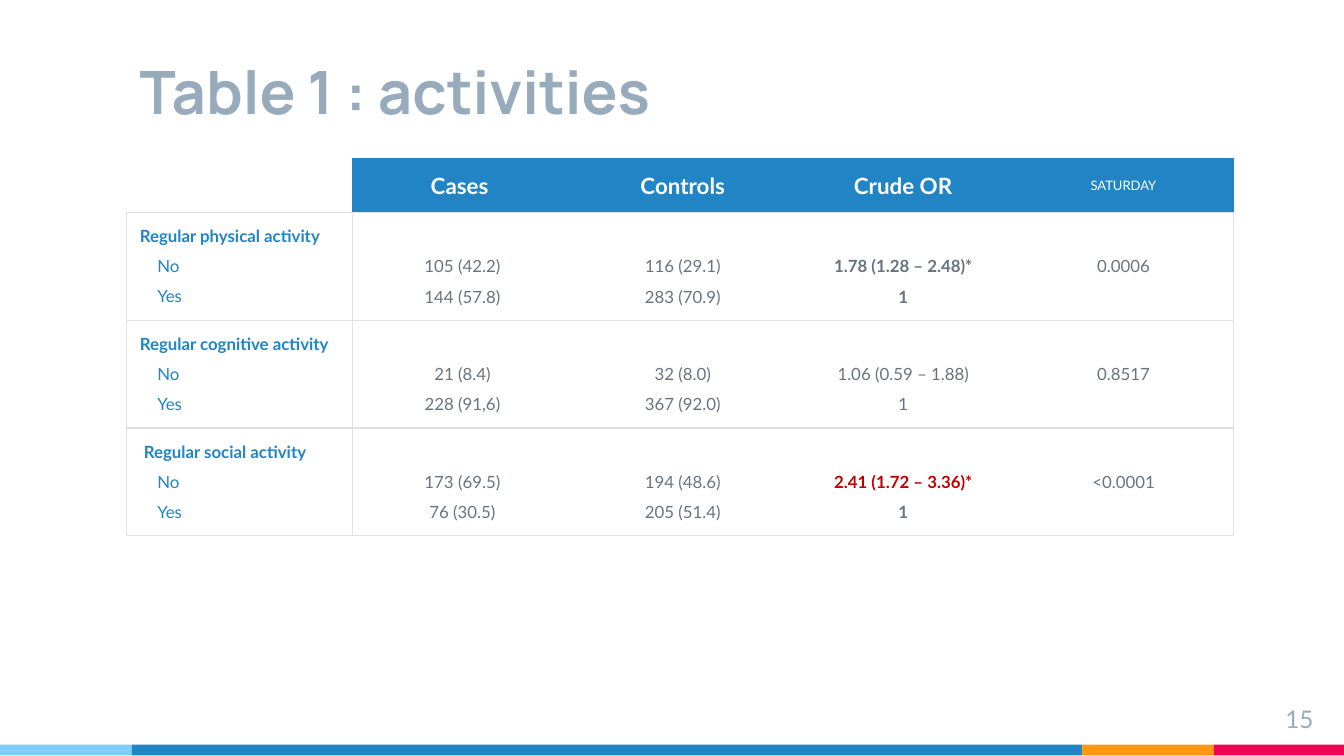
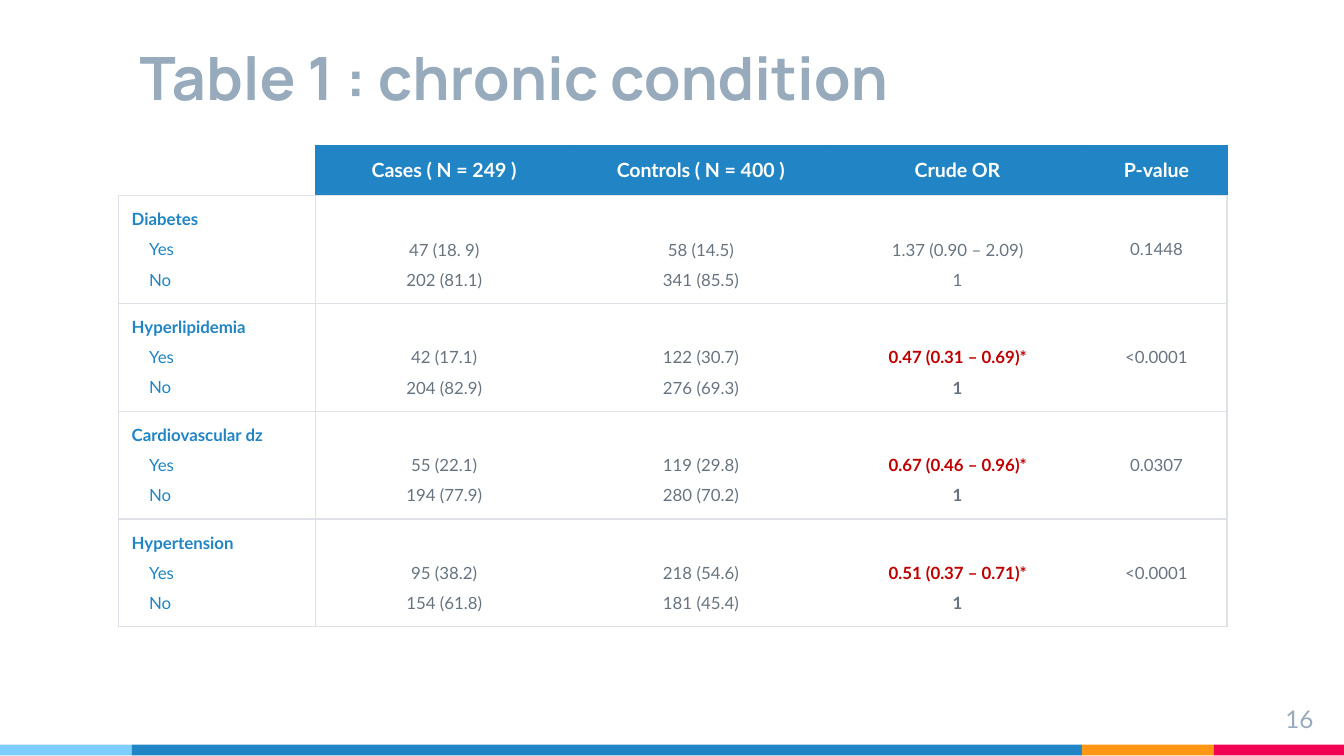
from dataclasses import dataclass
from typing import NamedTuple, Optional

from lxml import etree
from pptx import Presentation
from pptx.dml.color import RGBColor
from pptx.enum.shapes import MSO_SHAPE
from pptx.enum.text import MSO_ANCHOR, PP_ALIGN
from pptx.oxml.ns import qn
from pptx.util import Inches, Pt

RECT = MSO_SHAPE.RECTANGLE
LEFT, CENTER, RIGHT = PP_ALIGN.LEFT, PP_ALIGN.CENTER, PP_ALIGN.RIGHT
TOP, MIDDLE, BOTTOM = MSO_ANCHOR.TOP, MSO_ANCHOR.MIDDLE, MSO_ANCHOR.BOTTOM

COLORS = {
    "title": "97ABBC",
    "blue": "2185C5",
    "sky": "7ECEFD",
    "orange": "FF9715",
    "pink": "F20253",
    "grid": "DEE2E6",
    "body": "677480",
    "alert": "C00000",
    "white": "FFFFFF",
}
TITLE_FONT, BODY_FONT = "Manrope", "Lato"
SLIDE_W = 10
SLIDE_H = SLIDE_W * 9 / 16
PAD = Inches(0.1)
LEVEL_INDENT = Inches(0.13)
GROUP_H = 0.8


class Band(NamedTuple):
    width: float
    color: str


class Header(NamedTuple):
    text: str
    size: float
    bold: bool = True


@dataclass
class Group:
    """One factor: its values at two levels, odds ratio and p-value."""
    name: str
    cases: tuple[str, str]
    controls: tuple[str, str]
    odds_ratio: str
    p_value: str
    or_color: str = "body"


@dataclass
class TableSlide:
    number: int
    title: str
    title_top: float
    left: float
    top: float
    col_widths: list[float]
    header_h: float
    headers: list[Header]
    levels: tuple[str, str]
    groups: list[Group]


BANDS = [Band(0.98, "sky"), Band(7.07, "blue"), Band(0.98, "orange"), Band(0.97, "pink")]

SLIDES = [
    TableSlide(
        15, "Table 1 : activities", 0.1, 0.94, 1.18, [1.68] + [1.64] * 4, 0.4,
        [Header("Cases ", 12), Header("Controls", 12), Header("Crude OR", 12),
         Header("SATURDAY", 7, bold=False)],
        ("No", "Yes"),
        [
            Group("Regular physical activity", ("105 (42.2)", "144 (57.8)"),
                  ("116 (29.1)", "283 (70.9)"), "1.78 (1.28 – 2.48)*", "0.0006"),
            Group("Regular cognitive activity", ("21 (8.4)", "228 (91,6)"),
                  ("32 (8.0)", "367 (92.0)"), "1.06 (0.59 – 1.88)", "0.8517"),
            Group(" Regular social activity", ("173 (69.5)", "76 (30.5)"),
                  ("194 (48.6)", "205 (51.4)"), "2.41 (1.72 – 3.36)*", "<0.0001", "alert"),
        ],
    ),
    TableSlide(
        16, "Table 1 : chronic condition", 0, 0.88, 1.08, [1.47] + [1.91] * 3 + [1.05], 0.37,
        [Header(text, 10.5) for text in
         ("Cases ( N = 249 )", "Controls ( N = 400 )", "Crude OR", "P-value")],
        ("Yes", "No"),
        [
            Group("Diabetes", ("47 (18. 9)", "202 (81.1)"),
                  ("58 (14.5)", "341 (85.5)"), "1.37 (0.90 – 2.09)", "0.1448"),
            Group("Hyperlipidemia", ("42 (17.1)", "204 (82.9)"),
                  ("122 (30.7)", "276 (69.3)"), "0.47 (0.31 – 0.69)*", "<0.0001", "alert"),
            Group("Cardiovascular dz", ("55 (22.1)", "194 (77.9)"),
                  ("119 (29.8)", "280 (70.2)"), "0.67 (0.46 – 0.96)*", "0.0307", "alert"),
            Group("Hypertension", ("95 (38.2)", "154 (61.8)"),
                  ("218 (54.6)", "181 (45.4)"), "0.51 (0.37 – 0.71)*", "<0.0001", "alert"),
        ],
    ),
]


def rgb(color: str) -> RGBColor:
    return RGBColor.from_string(COLORS[color])


def write(tf, text: str, *, size: float = 9, color: str = "body", bold: bool = False,
          font: str = BODY_FONT, align=CENTER, spacing: float = 1, indent: int = 0,
          kerned: bool = True) -> None:
    """Fill the first paragraph of the frame, or add one after existing text."""
    p = tf.add_paragraph() if tf.text else tf.paragraphs[0]
    p.alignment = align
    p.line_spacing = spacing
    if indent:
        p._p.get_or_add_pPr().set("marL", str(indent))
    r = p.add_run()
    r.text = text
    r.font.size = Pt(size)
    r.font.name = font
    r.font.bold = bold
    r.font.color.rgb = rgb(color)
    if not kerned:
        r._r.get_or_add_rPr().set("kern", "0")


def add_textbox(s, x: float, y: float, w: float, h: float, text: str, anchor=TOP, **fmt) -> None:
    tf = s.shapes.add_textbox(Inches(x), Inches(y), Inches(w), Inches(h)).text_frame
    tf.word_wrap = True
    tf.vertical_anchor = anchor
    tf.margin_left = tf.margin_right = tf.margin_top = tf.margin_bottom = PAD
    write(tf, text, **fmt)


def add_bands(s) -> None:
    x = 0.0
    for band in BANDS:
        sp = s.shapes.add_shape(RECT, Inches(x), Inches(5.54), Inches(band.width), Inches(0.08))
        sp.shadow.inherit = False
        sp.fill.solid()
        sp.fill.fore_color.rgb = rgb(band.color)
        sp.line.fill.background()
        x += band.width


def style_cell(cell, anchor=MIDDLE, fill: Optional[str] = None, left: Optional[str] = None,
               right: Optional[str] = None, top: Optional[str] = None,
               bottom: Optional[str] = None) -> None:
    """Set margins, anchor, fill and the four borders; None means no fill or border."""
    cell.margin_left = cell.margin_right = cell.margin_top = cell.margin_bottom = PAD
    cell.vertical_anchor = anchor
    tc_pr = cell._tc.get_or_add_tcPr()
    for side, color in zip("LRTB", (left, right, top, bottom)):
        ln = etree.SubElement(tc_pr, qn(f"a:ln{side}"), w=str(Pt(0.75)))
        if color:
            paint = etree.SubElement(ln, qn("a:solidFill"))
            etree.SubElement(paint, qn("a:srgbClr"), val=COLORS[color])
        else:
            etree.SubElement(ln, qn("a:noFill"))
    if fill:
        cell.fill.solid()
        cell.fill.fore_color.rgb = rgb(fill)
    else:
        cell.fill.background()


def fill_header_row(table, headers: list[Header]) -> None:
    corner = table.cell(0, 0)
    style_cell(corner, right="blue", bottom="grid")
    # A small end mark keeps the empty cell from stretching the row.
    etree.SubElement(corner.text_frame.paragraphs[0]._p, qn("a:endParaRPr"), sz="900")
    for col, header in enumerate(headers, 1):
        cell = table.cell(0, col)
        style_cell(cell, fill="blue", left="blue", right="blue", top="blue", bottom="grid")
        write(cell.text_frame, header.text, size=header.size, bold=header.bold, color="white")


def fill_group_row(table, row: int, group: Group, levels: tuple[str, str]) -> None:
    label = table.cell(row, 0)
    style_cell(label, left="grid", right="grid", top="grid", bottom="grid")
    write(label.text_frame, group.name, color="blue", bold=True, align=LEFT)
    for level in levels:
        write(label.text_frame, level, color="blue", align=LEFT, spacing=1.5,
              indent=LEVEL_INDENT)

    significant = group.odds_ratio.endswith("*")
    columns = (group.cases, group.controls, (group.odds_ratio, "1"))
    for col, values in enumerate(columns, 1):
        cell = table.cell(row, col)
        style_cell(cell, BOTTOM, left="grid" if col == 1 else None, top="grid", bottom="grid")
        for value in values:
            write(cell.text_frame, value, spacing=1.5, bold=col == 3 and significant,
                  color=group.or_color if value == group.odds_ratio else "body")

    cell = table.cell(row, 4)
    style_cell(cell, right="grid", top="grid", bottom="grid")
    write(cell.text_frame, group.p_value)


def add_data_table(s, data: TableSlide) -> None:
    heights = [data.header_h] + [GROUP_H] * len(data.groups)
    table = s.shapes.add_table(
        len(heights), len(data.col_widths), Inches(data.left), Inches(data.top),
        Inches(sum(data.col_widths)), Inches(sum(heights))).table
    table.first_row = table.horz_banding = False
    for column, width in zip(table.columns, data.col_widths):
        column.width = Inches(width)
    for row, height in zip(table.rows, heights):
        row.height = Inches(height)
    fill_header_row(table, data.headers)
    for row, group in enumerate(data.groups, 1):
        fill_group_row(table, row, group, data.levels)


def main() -> None:
    prs = Presentation()
    prs.slide_width, prs.slide_height = Inches(SLIDE_W), Inches(SLIDE_H)
    for data in SLIDES:
        s = prs.slides.add_slide(prs.slide_layouts[6])
        add_bands(s)
        add_textbox(s, 0.94, data.title_top, 7.07, 0.94, data.title, BOTTOM, size=32,
                    font=TITLE_FONT, color="title", bold=True, align=LEFT, kerned=False)
        add_textbox(s, 9.27, 5.14, 0.6, 0.34, str(data.number),
                    size=13, color="title", align=RIGHT)
        add_data_table(s, data)
    prs.save("out.pptx")


if __name__ == "__main__":
    main()
